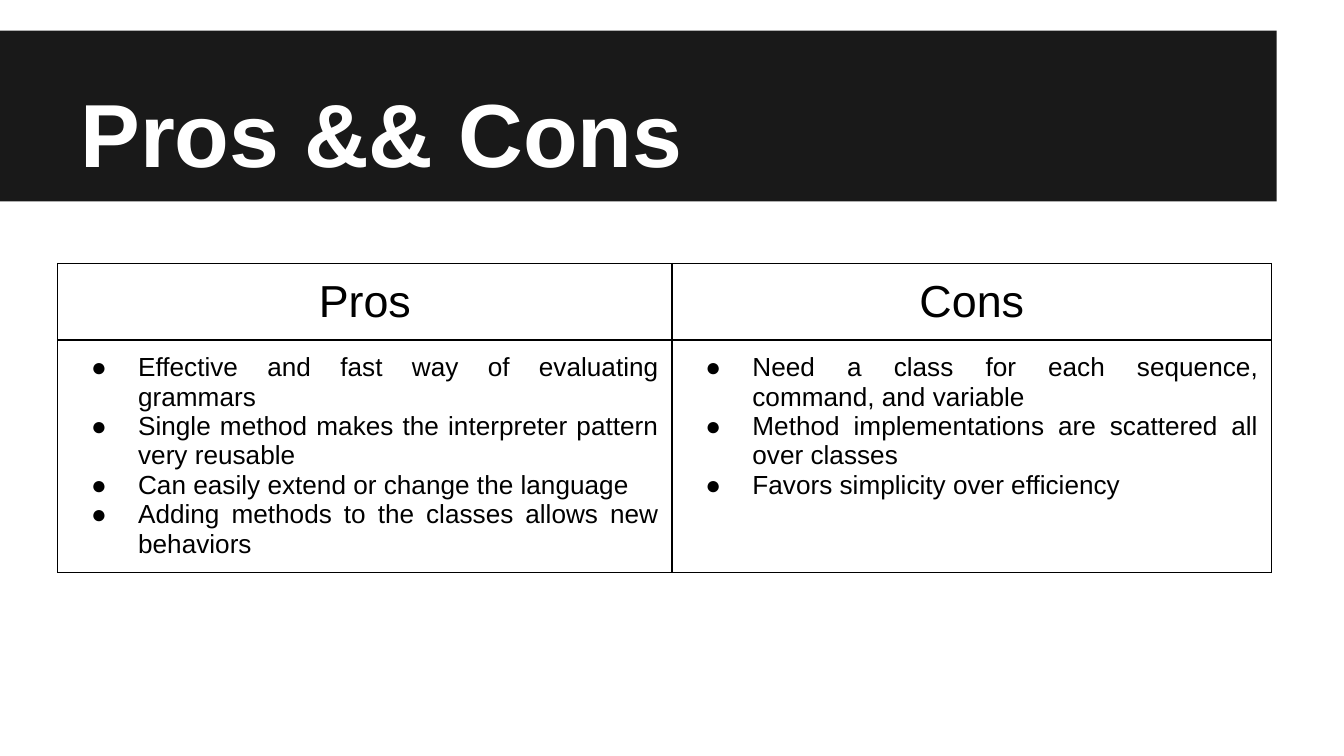
from dataclasses import dataclass

from lxml import etree
from pptx import Presentation
from pptx.dml.color import RGBColor
from pptx.enum.shapes import MSO_SHAPE
from pptx.enum.text import MSO_ANCHOR, MSO_AUTO_SIZE, PP_ALIGN
from pptx.oxml.ns import qn
from pptx.util import Cm, Pt

RECTANGLE = MSO_SHAPE.RECTANGLE
BOTTOM, TOP = MSO_ANCHOR.BOTTOM, MSO_ANCHOR.TOP
LEFT, CENTER, JUSTIFY = PP_ALIGN.LEFT, PP_ALIGN.CENTER, PP_ALIGN.JUSTIFY
NO_AUTOFIT = MSO_AUTO_SIZE.NONE
TITLE_ONLY = 5


@dataclass(frozen=True)
class Theme:
    font: str = "Arial"
    band: str = "191919"
    paper: str = "FFFFFF"
    ink: str = "000000"
    title_size: int = 48
    heading_size: int = 24
    body_size: int = 14
    border: float = 0.75
    inset: float = 0.25
    indent: float = 1.27
    hanging: float = 0.89


THEME = Theme()

COLUMNS = {
    "Pros": [
        "Effective and fast way of evaluating grammars",
        "Single method makes the interpreter pattern very reusable",
        "Can easily extend or change the language",
        "Adding methods to the classes allows new behaviors",
    ],
    "Cons": [
        "Need a class for each sequence, command, and variable",
        "Method implementations are scattered all over classes",
        "Favors simplicity over efficiency",
    ],
}


def add_text(paragraph, text, size, color, align, bold=False):
    paragraph.alignment = align
    run = paragraph.add_run()
    run.text = text
    run.font.name = THEME.font
    run.font.size = Pt(size)
    run.font.bold = bold
    run.font.color.rgb = RGBColor.from_string(color)


def set_insets(holder):
    holder.margin_left = holder.margin_right = Cm(THEME.inset)
    holder.margin_top = holder.margin_bottom = Cm(THEME.inset)


def add_solid_color(parent, tag, color):
    holder = etree.SubElement(parent, qn(tag))
    etree.SubElement(holder, qn("a:srgbClr"), val=color)


def add_bullet(paragraph):
    properties = paragraph._p.get_or_add_pPr()
    properties.set("marL", str(Cm(THEME.indent)))
    properties.set("indent", str(-Cm(THEME.hanging)))
    add_solid_color(properties, "a:buClr", THEME.ink)
    etree.SubElement(properties, qn("a:buFont"), typeface=THEME.font)
    etree.SubElement(properties, qn("a:buChar"), char="●")


def format_cell(cell):
    set_insets(cell)
    cell.vertical_anchor = TOP
    properties = cell._tc.get_or_add_tcPr()
    for side in ("a:lnL", "a:lnR", "a:lnT", "a:lnB"):
        border = etree.SubElement(properties, qn(side), w=str(Pt(THEME.border)))
        add_solid_color(border, "a:solidFill", THEME.ink)
    cell.fill.background()


# Dark band with the slide title
def add_title_band(slide, text, left, top, width, height):
    band = slide.shapes.add_shape(RECTANGLE, left, top, width, height)
    band.shadow.inherit = False
    band.fill.solid()
    band.fill.fore_color.rgb = RGBColor.from_string(THEME.band)
    band.line.fill.background()

    title = slide.shapes.title
    title.element.addprevious(band.element)
    title.left, title.top = left + Cm(1.27), top
    title.width, title.height = width - Cm(1.27), height - Cm(0.05)
    frame = title.text_frame
    frame.auto_size = NO_AUTOFIT
    frame.word_wrap = True
    frame.vertical_anchor = BOTTOM
    set_insets(frame)
    add_text(frame.paragraphs[0], text, THEME.title_size, THEME.paper, LEFT, bold=True)


# Comparison table: a heading and a bulleted list per column
def add_comparison(slide, columns, left, top, column_widths, row_heights):
    table = slide.shapes.add_table(
        len(row_heights), len(columns), left, top, sum(column_widths), sum(row_heights)
    ).table
    table.first_row = table.horz_banding = False
    for row, height in zip(table.rows, row_heights):
        row.height = height
    for index, (heading, points) in enumerate(columns.items()):
        table.columns[index].width = column_widths[index]
        heading_cell, points_cell = table.cell(0, index), table.cell(1, index)
        format_cell(heading_cell)
        format_cell(points_cell)
        add_text(heading_cell.text_frame.paragraphs[0], heading,
                 THEME.heading_size, THEME.ink, CENTER)
        frame = points_cell.text_frame
        for number, point in enumerate(points):
            paragraph = frame.add_paragraph() if number else frame.paragraphs[0]
            add_text(paragraph, point, THEME.body_size, THEME.ink, JUSTIFY)
            add_bullet(paragraph)


presentation = Presentation()
presentation.slide_width, presentation.slide_height = Cm(25.4), Cm(14.29)
slide = presentation.slides.add_slide(presentation.slide_layouts[TITLE_ONLY])
slide.background.fill.solid()
slide.background.fill.fore_color.rgb = RGBColor.from_string(THEME.paper)

add_title_band(slide, "Pros && Cons", Cm(0), Cm(0.58), Cm(24.13), Cm(3.23))
add_comparison(slide, COLUMNS, Cm(1.09), Cm(4.98),
               [Cm(11.61), Cm(11.33)], [Cm(1.44), Cm(4.4)])

presentation.save("out.pptx")
